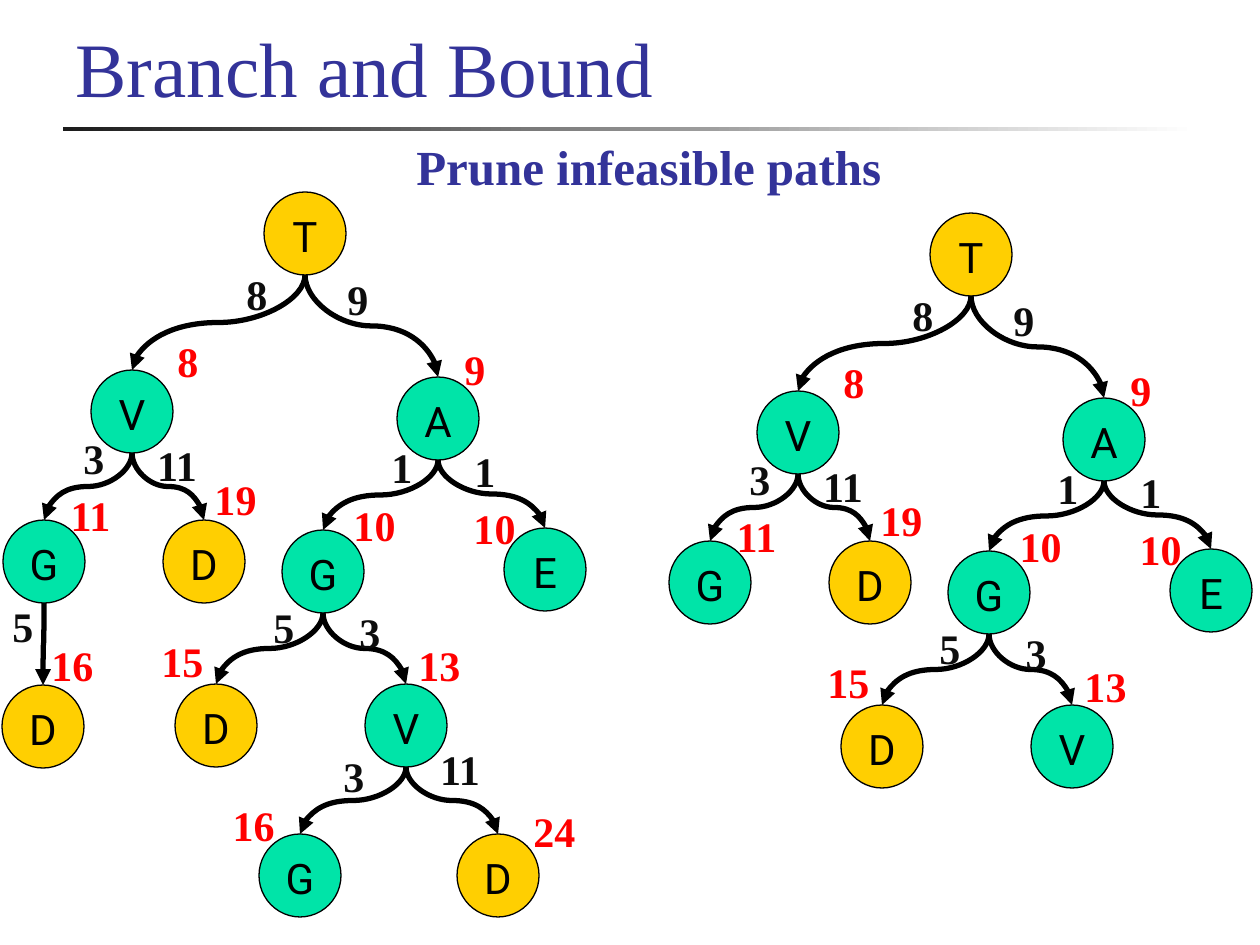
import pptx
import pptx.dml.color
import pptx.enum.shapes
import pptx.enum.text
import pptx.oxml.ns
import pptx.util
from lxml import etree

RGBColor = pptx.dml.color.RGBColor
SHAPE = pptx.enum.shapes.MSO_SHAPE
ALIGN = pptx.enum.text.PP_ALIGN
ANCHOR = pptx.enum.text.MSO_ANCHOR
qn = pptx.oxml.ns.qn

INDIGO = RGBColor(0x33, 0x33, 0x99)
GOLD = RGBColor(0xFF, 0xCF, 0x01)
GREEN = RGBColor(0x00, 0xE4, 0xA8)
BLACK = RGBColor(0, 0, 0)
INK = RGBColor(0x0D, 0x0D, 0x0D)
RED = RGBColor(0xFF, 0, 0)
RULE_DARK = RGBColor(0x1C, 0x1C, 0x1C)
WHITE = RGBColor(0xFF, 0xFF, 0xFF)

SERIF, SANS = "Times New Roman", "Roboto"

# path from the root: (left, top) of its circle
NODES = {
    "T": (264, 192),
    "TV": (91, 370), "TA": (397, 377),
    "TVG": (3, 520), "TVD": (163, 520),
    "TAG": (282, 530), "TAE": (504, 528),
    "TAGD": (175, 684), "TAGV": (365, 684),
    "TVGD": (2, 685),
    "TAGVG": (259, 834), "TAGVD": (457, 834),
}
# path: (left, top, width) and text of the step distance, then of the total
DISTANCES = {
    "TV": ((234, 273, 39), "8", (165, 340, 39), "8"),
    "TA": ((335, 278, 39), "9", (452, 348, 39), "9"),
    "TVG": ((71, 437, 39), "3", (55, 494, 71), "11"),
    "TVD": ((142, 444, 70), "11", (200, 478, 71), "19"),
    "TAG": ((379, 446, 39), "1", (339, 504, 71), "10"),
    "TAE": ((450, 450, 70), "1", (459, 507, 71), "10"),
    "TAGD": ((261, 606, 39), "5", (147, 640, 71), "15"),
    "TAGV": ((335, 611, 70), "3", (404, 644, 71), "13"),
    "TVGD": ((0, 605, 39), "5", (37, 644, 71), "16"),
    "TAGVG": ((331, 755, 39), "3", (218, 804, 71), "16"),
    "TAGVD": ((425, 748, 70), "11", (519, 810, 71), "24"),
}
PRUNED = {"TVGD", "TAGVG", "TAGVD"}
# (x shift, y shift, paths left out)
TREES = [(0, 0, set()), (666, 21, PRUNED)]

NODE_W, NODE_H = 82, 83
LABEL_H = 52


def px(length):
    return round(length * 914400 / 126)


def write(shape, text, size=24, font=SERIF, color=INK, bold=False,
          align=ALIGN.CENTER, anchor=ANCHOR.BOTTOM, wrap=True):
    frame = shape.text_frame
    frame.auto_size = pptx.enum.text.MSO_AUTO_SIZE.NONE
    frame.word_wrap = wrap
    frame.vertical_anchor = anchor
    paragraph = frame.paragraphs[0]
    paragraph.alignment = align
    run = paragraph.add_run()
    run.text = text
    run.font.size = pptx.util.Pt(size)
    run.font.name = font
    run.font.bold = bold
    run.font.color.rgb = color


def add_label(shapes, text, left, top, width, height=LABEL_H, **style):
    box = shapes.add_textbox(px(left), px(top), px(width), px(height))
    write(box, text, bold=True, **style)


def add_node(shapes, city, left, top):
    node = shapes.add_shape(SHAPE.OVAL, px(left), px(top), px(NODE_W), px(NODE_H))
    node.shadow.inherit = False
    node.fill.solid()
    node.fill.fore_color.rgb = GOLD if city in "TD" else GREEN
    node.line.color.rgb = BLACK
    node.line.width = pptx.util.Pt(0.75)
    write(node, city, font=SANS, color=BLACK, anchor=ANCHOR.TOP, wrap=False)


def add_branch(shapes, x1, y1, x2, y2):
    """Draw a curved arrow that leaves and arrives vertically."""
    mid_x, mid_y = (x1 + x2) / 2, (y1 + y2) / 2
    half_w, half_h = (y2 - y1) / 2, abs(x2 - x1) / 2
    # A curved connector runs sideways, so it is laid flat and then turned.
    side = 1 if x2 <= x1 else -1
    branch = shapes.add_connector(
        pptx.enum.shapes.MSO_CONNECTOR.CURVE,
        px(mid_x - side * half_w), px(mid_y - half_h),
        px(mid_x + side * half_w), px(mid_y + half_h))
    branch.rotation = 90 if side == 1 else 270
    branch.line.color.rgb = BLACK
    branch.line.width = pptx.util.Pt(3)
    properties = branch._element.spPr
    etree.SubElement(properties.find(qn("a:ln")), qn("a:tailEnd"), type="triangle")
    etree.SubElement(properties, qn("a:effectLst"))


def add_tree(shapes, shift_x, shift_y, left_out):
    nodes = {path: (x + shift_x, y + shift_y)
             for path, (x, y) in NODES.items() if path not in left_out}
    for path, (x, y) in nodes.items():
        add_node(shapes, path[-1], x, y)
    for path, (x, y) in nodes.items():
        if path not in DISTANCES:
            continue
        parent_x, parent_y = nodes[path[:-1]]
        add_branch(shapes, parent_x + NODE_W / 2, parent_y + NODE_H,
                   x + NODE_W / 2, y)
        step_at, step, total_at, total = DISTANCES[path]
        for (left, top, width), text, color in ((step_at, step, INK),
                                                (total_at, total, RED)):
            add_label(shapes, text, left + shift_x, top + shift_y, width, color=color)


def main():
    deck = pptx.Presentation()
    deck.slide_width, deck.slide_height = px(1260), px(945)
    slide = deck.slides.add_slide(deck.slide_layouts[5])
    shapes = slide.shapes

    title = shapes.title
    title.left, title.top, title.width, title.height = map(px, (63, 16, 1171, 103))
    write(title, "Branch and Bound", size=44, color=INDIGO, align=ALIGN.LEFT)

    rule = shapes.add_shape(SHAPE.RECTANGLE, *map(px, (63, 127, 1134, 4)))
    rule.shadow.inherit = False
    rule.line.fill.background()
    rule.fill.gradient()
    rule.fill.gradient_angle = 0
    for stop, color in zip(rule.fill.gradient_stops, (RULE_DARK, WHITE)):
        stop.color.rgb = color

    for tree in TREES:
        add_tree(shapes, *tree)
    add_label(shapes, "Prune infeasible paths", 404, 129, 562, 73,
              size=28, color=INDIGO, align=ALIGN.LEFT)
    deck.save("out.pptx")


if __name__ == "__main__":
    main()
